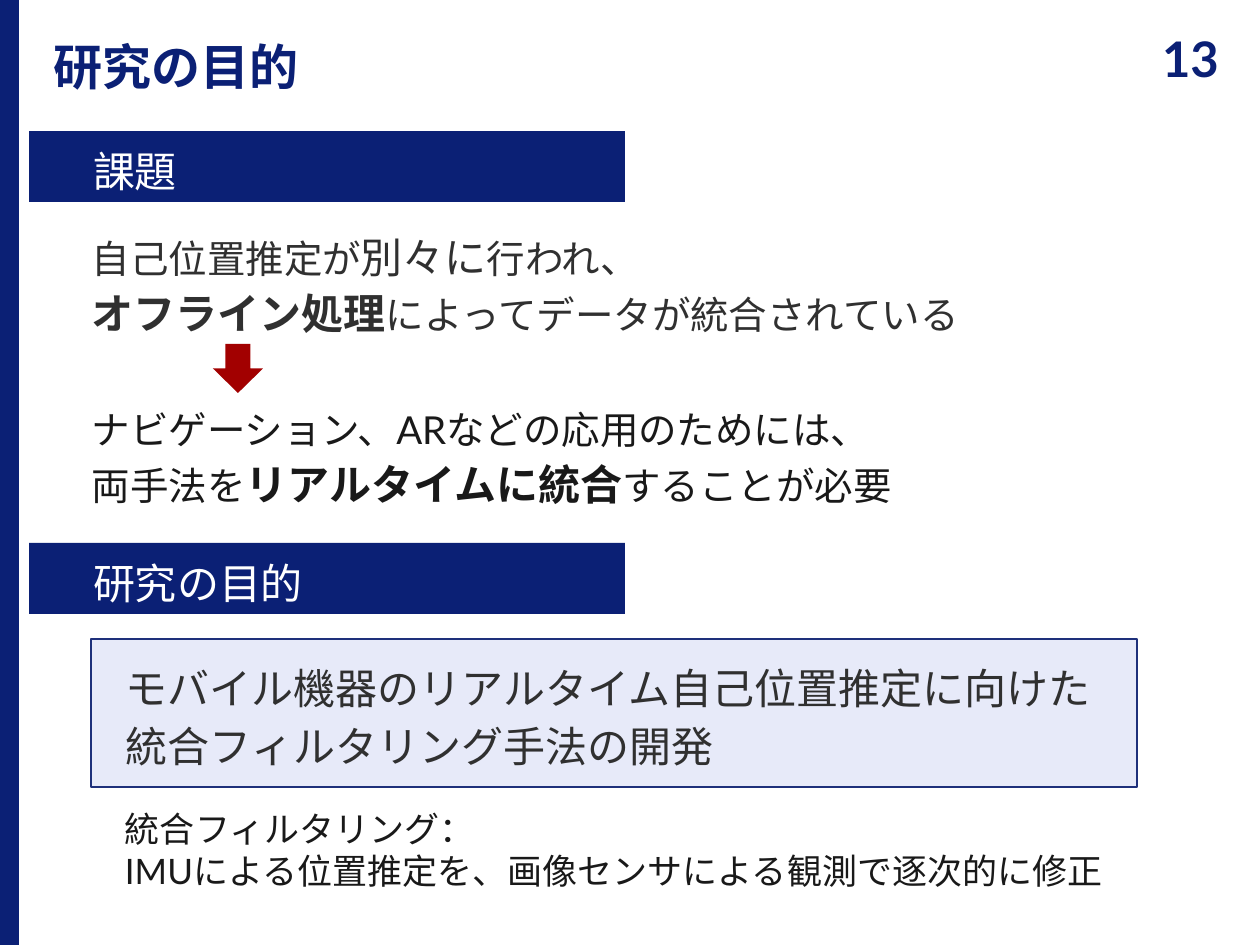
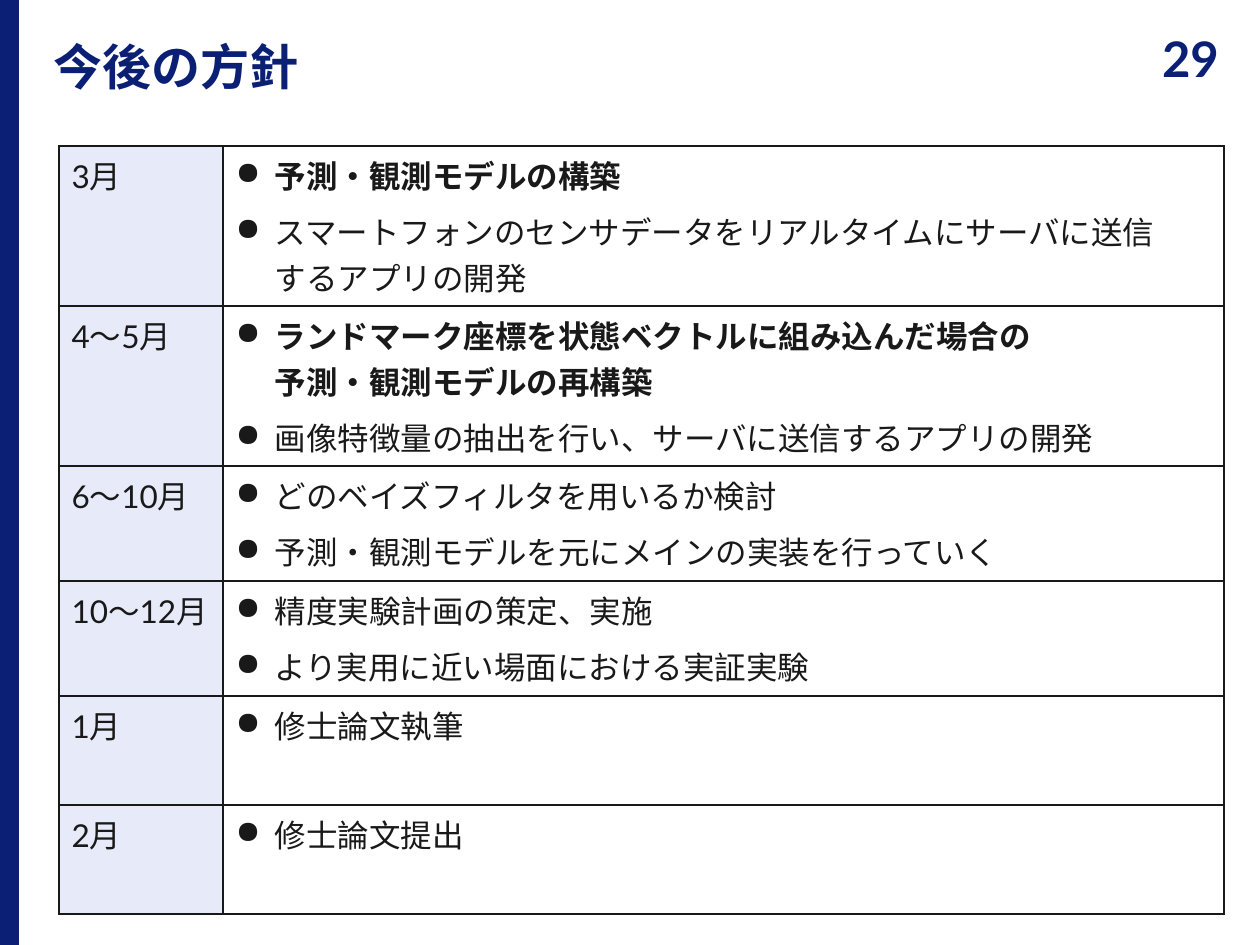
import pptx
import pptx.dml.color
import pptx.enum.shapes
import pptx.enum.text
import pptx.oxml
import pptx.oxml.ns
import pptx.util
from lxml import etree

SHAPE = pptx.enum.shapes.MSO_SHAPE
ANCHOR = pptx.enum.text.MSO_ANCHOR
ALIGN = pptx.enum.text.PP_ALIGN
PX_PER_INCH = 126
SLIDE_W, SLIDE_H = 1260, 945
FONT = "Lato"
COLORS = {
    "navy": "0B2075",
    "frame": "1E307B",
    "pale": "E7EAF9",
    "red": "A20000",
    "white": "FFFFFF",
    "gray": "303030",
    "ink": "191919",
}
TITLE = {"size": 28, "color": "navy", "bold": True}
HEADING = {"size": 24, "color": "white"}
GRAY = {"size": 22, "color": "gray"}
INK = {"size": 22, "color": "ink"}
EMPHASIS = {"size": 24, "bold": True}
SCHEDULE = [
    ("3月", 160, [
        ("予測・観測モデルの構築", True),
        ("スマートフォンのセンサデータをリアルタイムにサーバに送信\nするアプリの開発", False)]),
    ("4～5月", 160, [
        ("ランドマーク座標を状態ベクトルに組み込んだ場合の\n予測・観測モデルの再構築", True),
        ("画像特徴量の抽出を行い、サーバに送信するアプリの開発", False)]),
    ("6～10月", 115, [
        ("どのベイズフィルタを用いるか検討", False),
        ("予測・観測モデルを元にメインの実装を行っていく", False)]),
    ("10～12月", 115, [
        ("精度実験計画の策定、実施", False),
        ("より実用に近い場面における実証実験", False)]),
    ("1月", 109, [("修士論文執筆", False)]),
    ("2月", 109, [("修士論文提出", False)]),
]


def px(length):
    return pptx.util.Emu(round(length * 914400 / PX_PER_INCH))


def rgb(name):
    return pptx.dml.color.RGBColor.from_string(COLORS[name])


def add_run(paragraph, text, size, color, bold=False, east_asian=True):
    """Add text as one run per line, with a line break at each newline."""
    for index, line in enumerate(text.split("\n")):
        if index:
            paragraph.add_line_break()
        run = paragraph.add_run()
        run.text = line
        font = run.font
        for name, value in {"name": FONT, "size": pptx.util.Pt(size), "bold": bold}.items():
            setattr(font, name, value)
        font.color.rgb = rgb(color)
        if east_asian:
            latin = run._r.rPr.find(pptx.oxml.ns.qn("a:latin"))
            ea = etree.Element(pptx.oxml.ns.qn("a:ea"), typeface=FONT)
            latin.addnext(ea)


def write(shape, paragraphs, insets=(13, 6, 13, 6), anchor=ANCHOR.TOP, align=ALIGN.LEFT,
          line_spacing=None, gaps=()):
    """Fill a shape with paragraphs, each a list of (text, style); gaps are points before each."""
    frame = shape.text_frame
    frame.word_wrap = True
    frame.vertical_anchor = anchor
    for side, inset in zip(("left", "top", "right", "bottom"), insets):
        setattr(frame, f"margin_{side}", px(inset))
    for index, runs in enumerate(paragraphs):
        paragraph = frame.add_paragraph() if index else frame.paragraphs[0]
        paragraph.alignment = align
        paragraph.line_spacing = line_spacing
        if index and gaps:
            paragraph.space_before = pptx.util.Pt(gaps[index - 1])
        for text, style in runs:
            add_run(paragraph, text, **style)


def add_text(slide, box, paragraphs, **layout):
    write(slide.shapes.add_textbox(*map(px, box)), paragraphs, **layout)


def add_block(slide, kind, box, fill, line=None):
    block = slide.shapes.add_shape(kind, *map(px, box))
    block.shadow.inherit = False
    block.fill.solid()
    block.fill.fore_color.rgb = rgb(fill)
    if line:
        block.line.color.rgb = rgb(line)
        block.line.width = pptx.util.Pt(1)
    else:
        block.line.fill.background()
    return block


def add_page(deck, title, number):
    """Add a slide with the side band, page number and title that all slides share."""
    slide = deck.slides.add_slide(deck.slide_layouts[6])
    title_w, header_h = 1121, 115
    add_block(slide, SHAPE.RECTANGLE, (-1, 0, 20, SLIDE_H), "navy")
    add_text(slide, (title_w, 0, SLIDE_W - title_w, header_h), [[(number, TITLE)]],
             anchor=ANCHOR.MIDDLE, align=ALIGN.CENTER)
    add_text(slide, (0, 0, title_w, header_h), [[(title, TITLE)]],
             insets=(54, 25, 0, 0), anchor=ANCHOR.MIDDLE, line_spacing=0.9)
    return slide


def add_heading(slide, left, top, text):
    bar = add_block(slide, SHAPE.RECTANGLE, (left, top, 596, 71), "navy")
    write(bar, [[(text, HEADING)]], insets=(64, 15, 13, 0), anchor=ANCHOR.MIDDLE,
          line_spacing=0.9)


def add_issue(slide, left, top, width, height):
    add_heading(slide, left, top, "課題")
    add_text(slide, (left + 28, top + 100, width - 28, height - 100), [
        [("自己位置推定が", GRAY), ("別々に", {**GRAY, "size": 24}), ("行われ、", GRAY)],
        [("オフライン処理", {**GRAY, **EMPHASIS}), ("によってデータが統合されている", GRAY)],
        [("ナビゲーション、ARなどの応用のためには、", INK)],
        [("両手法を", INK), ("リアルタイムに統合", {**INK, **EMPHASIS}), ("することが必要", INK)],
    ], insets=(35, 6, 13, 6), line_spacing=0.9, gaps=(6, 42, 6))
    add_block(slide, SHAPE.DOWN_ARROW, (left + 184, top + 213, 50, 49), "red")


def add_goal(slide, left, top, width):
    add_heading(slide, left, top, "研究の目的")
    goal = add_block(slide, SHAPE.RECTANGLE, (left + 62, top + 96, width - 144, 148),
                     "pale", "frame")
    goal_style = {"size": 24, "color": "gray"}
    write(goal, [
        [("モバイル機器のリアルタイム自己位置推定に向けた", goal_style)],
        [("統合フィルタリング手法の開発", goal_style)],
    ], insets=(35, 6, 13, 6), anchor=ANCHOR.MIDDLE, line_spacing=pptx.util.Pt(33))
    note_style = {"size": 20, "color": "ink"}
    add_text(slide, (left + 83, top + 258, width - 180, 97), [
        [("統合フィルタリング：", note_style)],
        [("IMUによる位置推定を、画像センサによる観測で逐次的に修正", note_style)],
    ])


def add_bullet(paragraph):
    properties = paragraph._p.get_or_add_pPr()
    indent = px(39)
    properties.set("marL", str(indent))
    properties.set("indent", str(-indent))
    etree.SubElement(properties, pptx.oxml.ns.qn("a:buChar"), char="●")


def style_cell(cell, fill=None):
    """Draw all four borders, then set the fill."""
    properties = cell._tc.get_or_add_tcPr()
    for side in "LRTB":
        properties.append(pptx.oxml.parse_xml(
            f'<a:ln{side} {pptx.oxml.ns.nsdecls("a")} w="12700"><a:solidFill>'
            f'<a:srgbClr val="{COLORS["ink"]}"/></a:solidFill></a:ln{side}>'))
    if fill:
        cell.fill.solid()
        cell.fill.fore_color.rgb = rgb(fill)
    else:
        cell.fill.background()


def add_schedule(slide, left, top, month_w, task_w):
    height = sum(row_h for _, row_h, _ in SCHEDULE)
    table = slide.shapes.add_table(len(SCHEDULE), 2, px(left), px(top),
                                   px(month_w + task_w), px(height)).table
    table.first_row = table.horz_banding = False
    for column, width in zip(table.columns, (month_w, task_w)):
        column.width = px(width)
    for index, (month, row_h, tasks) in enumerate(SCHEDULE):
        table.rows[index].height = px(row_h)
        month_cell, task_cell = table.cell(index, 0), table.cell(index, 1)
        style_cell(month_cell, "pale")
        style_cell(task_cell)
        style = {"size": 18, "color": "ink", "east_asian": False}
        add_run(month_cell.text_frame.paragraphs[0], month, **style)
        frame = task_cell.text_frame
        for order, (task, bold) in enumerate(tasks):
            paragraph = frame.add_paragraph() if order else frame.paragraphs[0]
            add_bullet(paragraph)
            if order:
                paragraph.space_before = pptx.util.Pt(6)
            add_run(paragraph, task, bold=bold, **style)


def main():
    deck = pptx.Presentation()
    deck.slide_width, deck.slide_height = px(SLIDE_W), px(SLIDE_H)
    purpose = add_page(deck, "研究の目的", "13")
    add_issue(purpose, 29, 131, 1190, 430)
    add_goal(purpose, 29, 543, 1190)
    plan = add_page(deck, "今後の方針", "29")
    add_schedule(plan, 59, 146, 164, 1001)
    deck.save("out.pptx")


if __name__ == "__main__":
    main()
